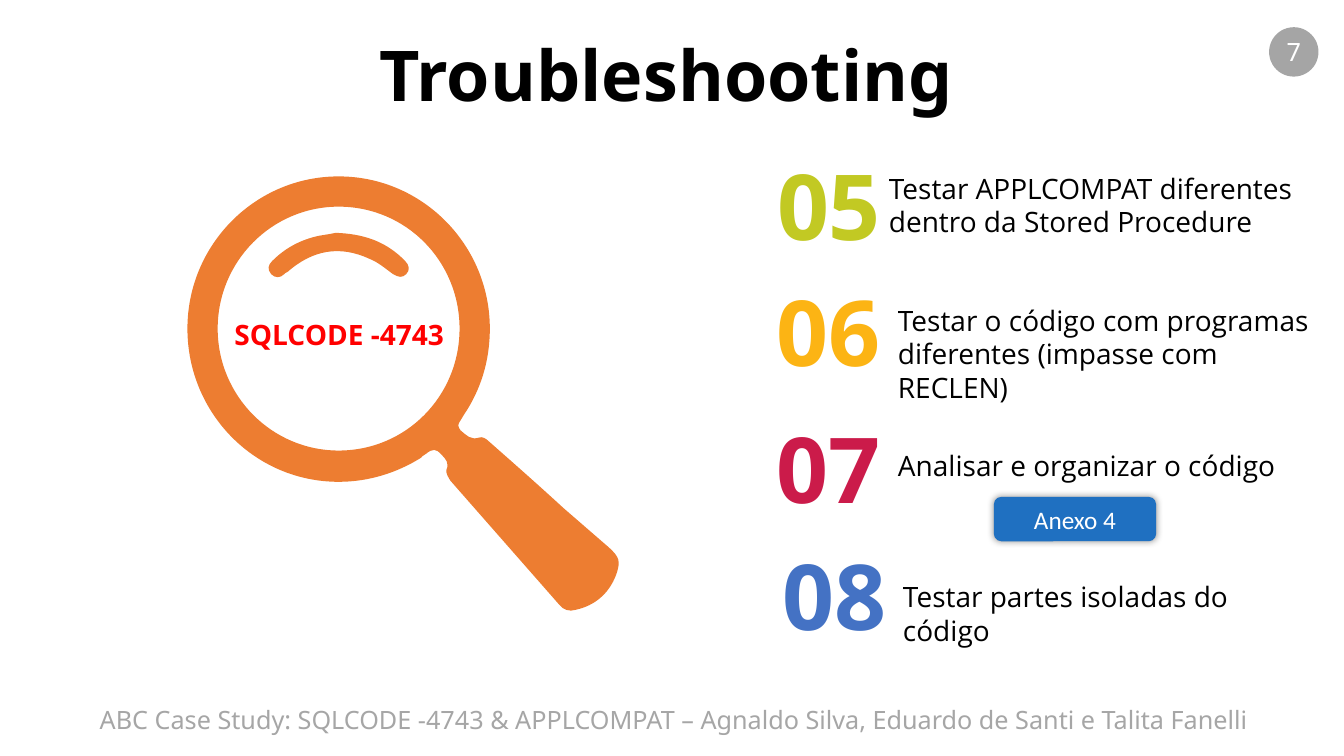
from dataclasses import dataclass

from lxml import etree
from pptx import Presentation
from pptx.dml.color import RGBColor
from pptx.enum import shapes, text
from pptx.oxml import ns
from pptx.util import Inches, Pt


@dataclass(frozen=True)
class Theme:
    heading: str = "Noto Sans"
    body: str = "Open Sans"
    button: str = "Calibri"
    black: str = "000000"
    white: str = "FFFFFF"
    grey: str = "A5A5A5"
    footer: str = "A6A6A6"
    orange: str = "ED7D31"
    red: str = "FF0000"
    blue: str = "1F70C1"
    title_size: int = 50
    number_size: int = 65
    body_size: int = 20
    small_size: int = 18


T = Theme()

# Number, colour, number box (left, top, width), text, text box (left, top, width, height)
STEPS = [
    ("05", "C2C923", (7.58, 1.43, 1.29),
     "Testar APPLCOMPAT diferentes dentro da Stored Procedure", (8.72, 1.65, 4.21, 0.77)),
    ("06", "FCB414", (7.47, 2.68, 1.5),
     "Testar o código com programas diferentes (impasse com RECLEN)", (8.81, 2.96, 4.3, 0.77)),
    ("07", "CB1B4A", (7.47, 4.04, 1.5),
     "Analisar e organizar o código", (8.81, 4.4, 4.21, 0.44)),
    ("08", "4472C4", (7.63, 5.3, 1.29),
     "Testar partes isoladas do código", (8.86, 5.7, 4.21, 0.44)),
]

# Outlines: a start point, then Bezier curves (two handles and an end point)
GLINT = [
    (3.33, 2.31),
    (3.6, 2.32, 3.81, 2.39, 3.99, 2.56), (4, 2.57, 4.01, 2.58, 4.02, 2.59),
    (4.06, 2.63, 4.07, 2.68, 4.03, 2.72), (3.99, 2.76, 3.95, 2.75, 3.9, 2.72),
    (3.83, 2.67, 3.75, 2.6, 3.67, 2.57), (3.37, 2.43, 3.1, 2.48, 2.85, 2.7),
    (2.84, 2.7, 2.83, 2.71, 2.82, 2.72), (2.78, 2.76, 2.73, 2.76, 2.69, 2.72),
    (2.65, 2.67, 2.66, 2.63, 2.7, 2.59), (2.83, 2.46, 2.98, 2.38, 3.16, 2.34),
    (3.22, 2.33, 3.29, 2.32, 3.33, 2.31),
]
FRAME = [
    (6.04, 5.43),
    (5.89, 5.3, 5.74, 5.17, 5.59, 5.04), (5.34, 4.81, 5.09, 4.59, 4.84, 4.37),
    (4.82, 4.35, 4.78, 4.33, 4.76, 4.34), (4.67, 4.37, 4.63, 4.32, 4.57, 4.27),
    (4.54, 4.23, 4.54, 4.21, 4.57, 4.17), (4.58, 4.15, 4.59, 4.14, 4.6, 4.12),
    (4.77, 3.87, 4.86, 3.58, 4.86, 3.26), (4.86, 2.43, 4.19, 1.75, 3.36, 1.75),
    (2.53, 1.75, 1.86, 2.43, 1.86, 3.26), (1.86, 4.1, 2.53, 4.78, 3.36, 4.78),
    (3.66, 4.78, 3.94, 4.69, 4.18, 4.54), (4.18, 4.53, 4.19, 4.53, 4.2, 4.52),
    (4.2, 4.52, 4.2, 4.52, 4.2, 4.52), (4.21, 4.51, 4.22, 4.51, 4.23, 4.5),
    (4.29, 4.45, 4.33, 4.45, 4.38, 4.51), (4.42, 4.55, 4.46, 4.59, 4.43, 4.66),
    (4.42, 4.69, 4.45, 4.74, 4.47, 4.77), (4.83, 5.18, 5.19, 5.59, 5.55, 6),
    (5.59, 6.05, 5.65, 6.07, 5.71, 6.05), (5.9, 6.01, 6.04, 5.89, 6.11, 5.71),
    (6.16, 5.57, 6.15, 5.53, 6.04, 5.43),
]
LENS = [
    (2.16, 3.26),
    (2.16, 2.59, 2.7, 2.05, 3.36, 2.05), (4.03, 2.05, 4.56, 2.59, 4.56, 3.26),
    (4.56, 3.93, 4.03, 4.47, 3.36, 4.47), (2.7, 4.47, 2.16, 3.93, 2.16, 3.26),
]


def rgb(color):
    return RGBColor.from_string(color)


def write(tf, content, font, size, color, bold=False, align=text.PP_ALIGN.CENTER):
    p = tf.paragraphs[0]
    p.alignment = align
    r = p.add_run()
    r.text = content
    r.font.name, r.font.size, r.font.bold = font, Pt(size), bold
    r.font.color.rgb = rgb(color)


def add_text(s, box, content, font, size, color, **style):
    tf = s.shapes.add_textbox(*map(Inches, box)).text_frame
    tf.word_wrap = True
    tf.auto_size = text.MSO_AUTO_SIZE.SHAPE_TO_FIT_TEXT
    write(tf, content, font, size, color, **style)


def paint(sp, fill):
    sp.shadow.inherit = False
    sp.fill.solid()
    sp.fill.fore_color.rgb = rgb(fill)
    sp.line.fill.background()


def add_label(s, kind, box, fill, content, font, wrap=True):
    sp = s.shapes.add_shape(kind, *map(Inches, box))
    paint(sp, fill)
    tf = sp.text_frame
    tf.word_wrap = wrap
    tf.vertical_anchor = text.MSO_ANCHOR.MIDDLE
    write(tf, content, font, T.small_size, T.white)
    return sp


def add_glow_shadow(sp, color, blur, alpha):
    effects = sp._element.spPr.find(ns.qn("a:effectLst"))
    shadow = etree.SubElement(effects, ns.qn("a:outerShdw"), blurRad=str(Pt(blur)),
                              dist="0", dir="0", algn="ctr", rotWithShape="0")
    clr = etree.SubElement(shadow, ns.qn("a:srgbClr"), val=color)
    etree.SubElement(clr, ns.qn("a:alpha"), val=str(alpha * 1000))


def curve_points(outline):
    """All handles and end points of an outline, in order."""
    flat = [Inches(value) for part in outline for value in part]
    return list(zip(flat[::2], flat[1::2]))


def bend(sp):
    """Turn each three line segments into one Bezier curve."""
    lines = list(sp._element.iter(ns.qn("a:lnTo")))
    for first, second, third in zip(lines[::3], lines[1::3], lines[2::3]):
        curve = etree.Element(ns.qn("a:cubicBezTo"))
        first.addprevious(curve)
        for line in (first, second, third):
            curve.append(line[0])
            line.getparent().remove(line)


def add_outline(s, fill, *outlines):
    first, *holes = map(curve_points, outlines)
    builder = s.shapes.build_freeform(*first[0])
    builder.add_line_segments(first[1:], close=True)
    for hole in holes:
        builder.move_to(*hole[0])
        builder.add_line_segments(hole[1:], close=True)
    sp = builder.convert_to_shape()
    bend(sp)
    paint(sp, fill)


def add_step(s, number, color, number_box, content, content_box):
    add_text(s, (*number_box, 1.19), number, T.body, T.number_size, color, bold=True)
    add_text(s, content_box, content, T.body, T.body_size, T.black,
             align=text.PP_ALIGN.LEFT)


def main():
    prs = Presentation()
    prs.slide_width, prs.slide_height = Inches(40 / 3), Inches(7.5)
    s = prs.slides.add_slide(prs.slide_layouts[6])

    # Page number and title
    add_label(s, shapes.MSO_SHAPE.OVAL, (12.59, 0.27, 0.49, 0.49), T.grey, "7",
              T.heading, wrap=False)
    add_text(s, (1.32, 0.26, 10.58, 0.94), "Troubleshooting", T.heading,
             T.title_size, T.black, bold=True)

    # Magnifying glass
    add_outline(s, T.orange, GLINT)
    add_outline(s, T.orange, FRAME, LENS)
    add_text(s, (2.14, 3.1, 2.45, 0.44), "SQLCODE -4743", T.body, T.body_size,
             T.red, bold=True)

    # Numbered steps
    for step in STEPS:
        add_step(s, *step)
    button = add_label(s, shapes.MSO_SHAPE.ROUNDED_RECTANGLE, (9.86, 4.93, 1.61, 0.44),
                       T.blue, "Anexo 4", T.button)
    add_glow_shadow(button, T.black, blur=5, alpha=40)

    # Footer
    add_text(s, (0.5, 6.94, 12.43, 0.4),
             "ABC Case Study: SQLCODE -4743 & APPLCOMPAT – "
             "Agnaldo Silva, Eduardo de Santi e Talita Fanelli ",
             T.heading, T.small_size, T.footer)

    prs.save("out.pptx")


if __name__ == "__main__":
    main()
